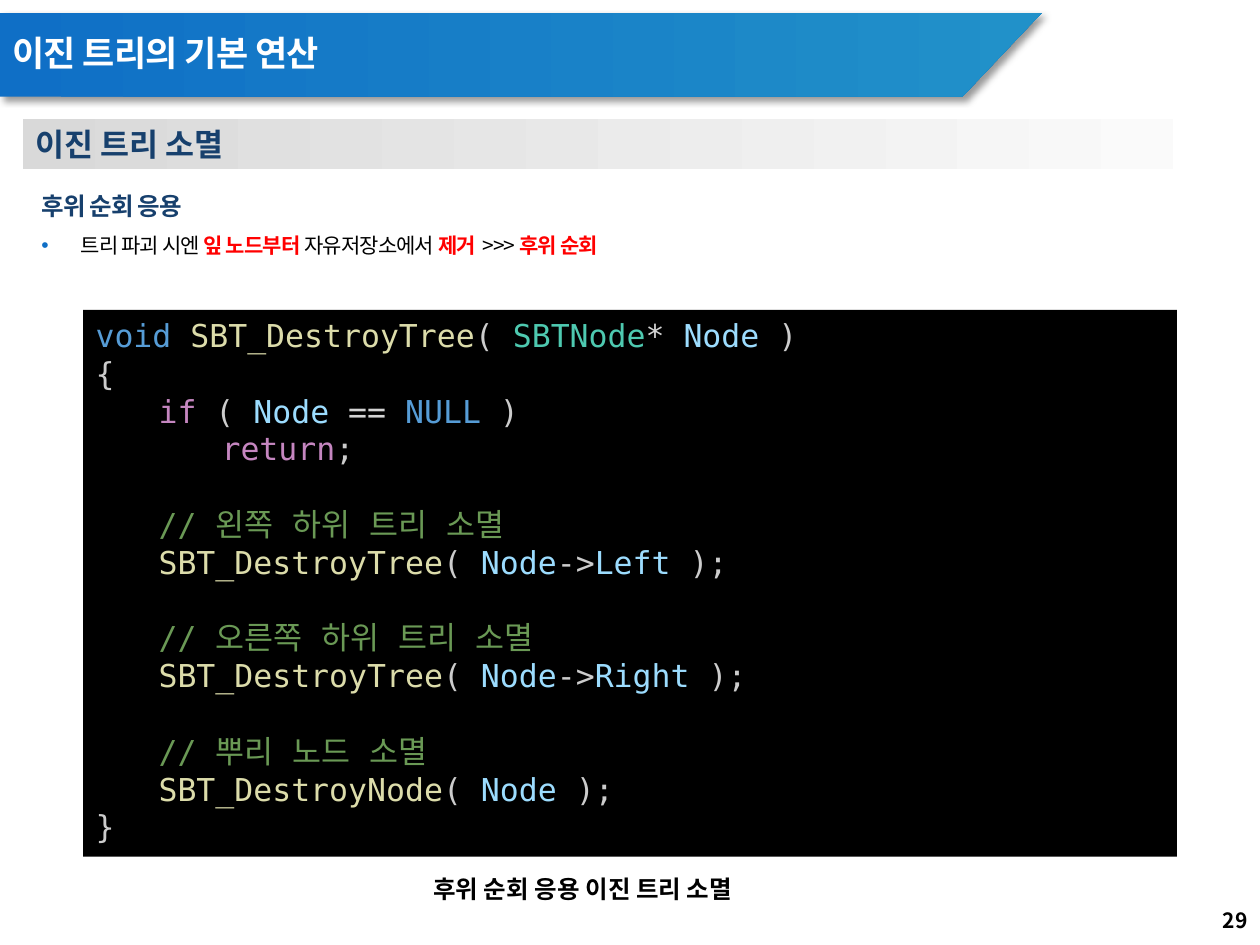
from lxml import etree
from pptx import Presentation
from pptx.dml.color import RGBColor
from pptx.enum.shapes import MSO_SHAPE
from pptx.enum.text import MSO_ANCHOR, PP_ALIGN
from pptx.oxml import parse_xml
from pptx.oxml.ns import nsdecls, qn
from pptx.util import Pt

RECTANGLE = MSO_SHAPE.RECTANGLE
TOP, MIDDLE = MSO_ANCHOR.TOP, MSO_ANCHOR.MIDDLE
LEFT, RIGHT = PP_ALIGN.LEFT, PP_ALIGN.RIGHT

SANS = "Noto Sans CJK KR"
MONO = "DejaVu Sans Mono"

BLACK = RGBColor(0x00, 0x00, 0x00)
WHITE = RGBColor(0xFF, 0xFF, 0xFF)
RED = RGBColor(0xFF, 0x00, 0x00)
NAVY = RGBColor(0x17, 0x40, 0x6D)
BLUE = RGBColor(0x0F, 0x6F, 0xC6)
TEAL_BLUE = RGBColor(0x21, 0x91, 0xC9)
GRAY = RGBColor(0xD9, 0xD9, 0xD9)
PALE_GRAY = RGBColor(0xFA, 0xFA, 0xFA)

# Code colours
TYPE_WORD = RGBColor(0x56, 0x9C, 0xD6)
FUNCTION = RGBColor(0xDC, 0xDC, 0xAA)
PLAIN = RGBColor(0xCC, 0xCC, 0xCC)
STRUCT = RGBColor(0x4E, 0xC9, 0xB0)
OPERATOR = RGBColor(0xD4, 0xD4, 0xD4)
VARIABLE = RGBColor(0x9C, 0xDC, 0xFE)
CONTROL = RGBColor(0xC5, 0x86, 0xC0)
COMMENT = RGBColor(0x6A, 0x99, 0x55)

CODE_SIZE = 18
CODE_LINE = 21.6


def add_span(para, text, size, color, bold=False, font=SANS, spacing=0):
    span = para.add_run()
    span.text = text
    span.font.size = Pt(size)
    span.font.bold = bold
    span.font.color.rgb = color
    span.font.name = font
    properties = span.font._element
    etree.SubElement(properties, qn("a:ea")).set("typeface", font)
    if spacing:
        properties.set("spc", str(round(spacing * 100)))


def set_gradient(shape, start, end):
    shape.fill.gradient()
    shape.fill.gradient_angle = 0
    for stop, color in zip(shape.fill.gradient_stops, (start, end)):
        stop.color.rgb = color
    shape.line.fill.background()


def set_frame(box, anchor=TOP):
    frame = box.text_frame
    frame.word_wrap = True
    frame.vertical_anchor = anchor
    frame.paragraphs[0].alignment = LEFT
    return frame


def add_text_box(page, left, top, width, height, anchor=TOP):
    box = page.shapes.add_textbox(Pt(left), Pt(top), Pt(width), Pt(height))
    return set_frame(box, anchor)


def add_rectangle(page, left, top, width, height):
    box = page.shapes.add_shape(RECTANGLE, Pt(left), Pt(top), Pt(width), Pt(height))
    box.shadow.inherit = False
    box.line.fill.background()
    set_frame(box)
    return box


def add_ribbon(page):
    builder = page.shapes.build_freeform(Pt(0), Pt(7.4))
    corners = [(595.2, 7.4), (550, 55.2), (0, 55.2)]
    builder.add_line_segments([(Pt(x), Pt(y)) for x, y in corners], close=True)
    ribbon = builder.convert_to_shape()
    set_gradient(ribbon, BLUE, TEAL_BLUE)
    ribbon.shadow.inherit = False
    effects = ribbon._element.spPr.find(qn("a:effectLst"))
    effects.append(parse_xml(
        f'<a:outerShdw {nsdecls("a")} blurRad="{Pt(4)}" dist="{Pt(3)}" dir="2700000" '
        'algn="tl" rotWithShape="0"><a:srgbClr val="000000"><a:alpha val="40000"/>'
        '</a:srgbClr></a:outerShdw>'))


def set_bullet(para, indent, color):
    properties = para._p.get_or_add_pPr()
    properties.set("marL", str(Pt(indent)))
    properties.set("indent", str(-Pt(indent)))
    bullet_color = etree.SubElement(properties, qn("a:buClr"))
    etree.SubElement(bullet_color, qn("a:srgbClr")).set("val", str(color))
    etree.SubElement(properties, qn("a:buFont")).set("typeface", "Arial")
    etree.SubElement(properties, qn("a:buChar")).set("char", "•")


def call_line(function, *arguments):
    return 1, [(function, FUNCTION), ("( ", PLAIN), *arguments, (" );", PLAIN)]


def comment_line(text):
    return 1, [("// " + text, COMMENT)]


def code_lines():
    node, arrow = ("Node", VARIABLE), ("->", PLAIN)
    return [
        (0, [("void ", TYPE_WORD), ("SBT_DestroyTree", FUNCTION), ("( ", PLAIN),
             ("SBTNode", STRUCT), ("* ", OPERATOR), node, (" )", PLAIN)]),
        (0, [("{", PLAIN)]),
        (1, [("if", CONTROL), (" ( ", PLAIN), ("Node ", VARIABLE),
             ("== ", OPERATOR), ("NULL", TYPE_WORD), (" )", PLAIN)]),
        (2, [("return", CONTROL), (";", PLAIN)]),
        comment_line("왼쪽 하위 트리 소멸"),
        call_line("SBT_DestroyTree", node, arrow, ("Left", VARIABLE)),
        comment_line("오른쪽 하위 트리 소멸"),
        call_line("SBT_DestroyTree", node, arrow, ("Right", VARIABLE)),
        comment_line("뿌리 노드 소멸"),
        call_line("SBT_DestroyNode", node),
        (0, [("}", PLAIN)]),
    ]


def add_code(page, left, top, width, height):
    box = add_rectangle(page, left, top, width, height)
    box.fill.solid()
    box.fill.fore_color.rgb = BLACK
    frame = box.text_frame
    for number, (level, spans) in enumerate(code_lines()):
        para = frame.add_paragraph() if number else frame.paragraphs[0]
        para.alignment = LEFT
        # Each comment opens a new block, one line further down
        if spans[0][1] == COMMENT:
            para.space_before = Pt(CODE_LINE)
        for position, (text, color) in enumerate(spans):
            tabs = "" if position else "\t" * level
            add_span(para, tabs + text, CODE_SIZE, color, font=MONO)


def main():
    deck = Presentation()
    deck.slide_width, deck.slide_height = Pt(720), Pt(540)
    page = deck.slides.add_slide(deck.slide_layouts[6])

    # Title ribbon
    add_ribbon(page)
    title = add_text_box(page, 0, 14.4, 481.7, 33.8, MIDDLE).paragraphs[0]
    title.line_spacing = 0.9
    add_span(title, "이진 트리의 기본 연산", 20, WHITE, True, spacing=-0.4)

    # Page number
    number = add_text_box(page, 558, 511.2, 162, 28.8, MIDDLE).paragraphs[0]
    number.alignment = RIGHT
    add_span(number, "29", 12, BLACK, True)

    # Section heading
    heading = add_rectangle(page, 13, 67.9, 657.4, 28.8)
    set_gradient(heading, GRAY, PALE_GRAY)
    add_span(heading.text_frame.paragraphs[0], "이진 트리 소멸", 18, NAVY, True)

    # Explanation
    notes = add_text_box(page, 16.6, 97.2, 680.4, 51.8)
    topic = notes.paragraphs[0]
    point = notes.add_paragraph()
    topic.line_spacing = point.line_spacing = 1.5
    add_span(topic, "후위 순회 응용", 14, NAVY, True, spacing=-0.5)
    set_bullet(point, 22.5, BLUE)
    for text, strong in [("트리 파괴 시엔 ", False), ("잎 노드부터 ", True),
                         ("자유저장소에서 ", False), ("제거", True),
                         ("\t>>> ", False), ("후위 순회", True)]:
        add_span(point, text, 12, RED if strong else BLACK, strong, spacing=-0.5)

    # Code and its caption
    caption = add_text_box(page, 240.5, 496.1, 207.4, 24.5).paragraphs[0]
    add_span(caption, "후위 순회 응용 이진 트리 소멸", 14, BLACK, True)
    add_code(page, 47.5, 177.1, 625, 312.5)

    deck.save("out.pptx")


if __name__ == "__main__":
    main()
